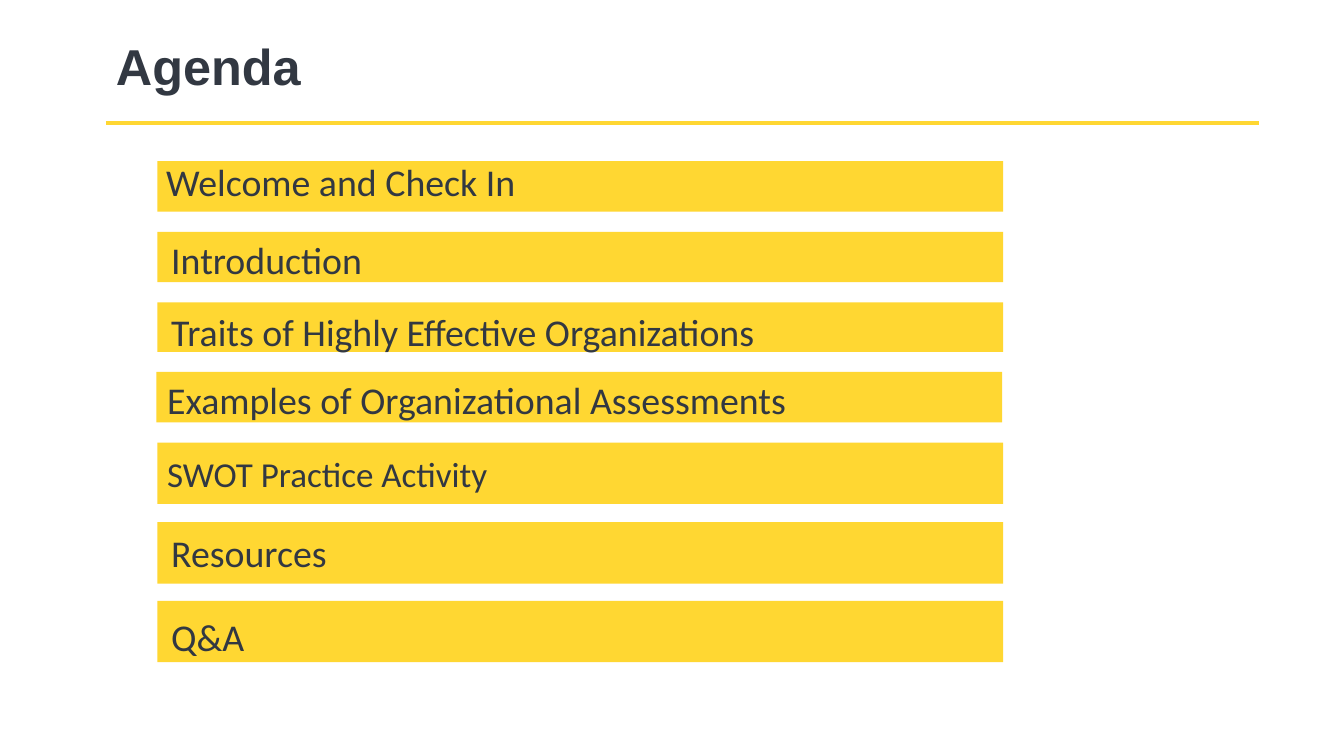
import pptx
import pptx.util
import pptx.dml.color
import pptx.enum.shapes
import pptx.enum.text
import pptx.oxml

PX = 9144
COLORS = {"gold": "FFD732", "slate": "323842"}


def color(name):
    return pptx.dml.color.RGBColor.from_string(COLORS[name])


def add_span(para, text, font_name, size, bold=False):
    span = para.add_run()
    span.text = text
    span.font.name = font_name
    span.font.size = pptx.util.Pt(size)
    span.font.bold = bold
    span.font.color.rgb = color("slate")


deck = pptx.Presentation()
deck.slide_width = 1333 * PX
deck.slide_height = 750 * PX
page = deck.slides.add_slide(deck.slide_layouts[5])

title = page.shapes.title
title.left, title.top, title.width, title.height = 105 * PX, 34 * PX, 856 * PX, 69 * PX
title.text_frame.auto_size = pptx.enum.text.MSO_AUTO_SIZE.NONE
title.text_frame.vertical_anchor = pptx.enum.text.MSO_ANCHOR.MIDDLE
para = title.text_frame.paragraphs[0]
para.alignment = pptx.enum.text.PP_ALIGN.LEFT
para.line_spacing = 0.9
add_span(para, "Agenda", "Arial", 36, True)

rule = page.shapes.add_connector(
    pptx.enum.shapes.MSO_CONNECTOR.STRAIGHT, 105 * PX, 122 * PX, 1249 * PX, 122 * PX
)
rule.line.color.rgb = color("gold")
rule.line.width = pptx.util.Pt(3)
rule._element.spPr.append(
    pptx.oxml.parse_xml(
        '<a:effectLst xmlns:a="http://schemas.openxmlformats.org/drawingml/2006/main"/>'
    )
)

agenda = [
    ("Welcome and Check In", 27, 156, 160, 50, 155, 153, 57),
    ("Introduction", 27, 156, 230, 50, 160, 230, 56),
    ("Traits of Highly Effective Organizations", 27, 156, 300, 49, 160, 301, 56),
    ("Examples of Organizational Assessments", 27, 155, 369, 50, 156, 369, 56),
    ("SWOT Practice Activity", 25, 156, 439, 61, 156, 444, 52),
    ("Resources", 27, 156, 518, 61, 160, 521, 56),
    ("Q&A", 27, 156, 596, 61, 160, 604, 56),
]
for topic, size, bar_left, bar_top, bar_height, text_left, text_top, text_height in agenda:
    bar = page.shapes.add_shape(
        pptx.enum.shapes.MSO_SHAPE.RECTANGLE,
        bar_left * PX, bar_top * PX, 839 * PX, bar_height * PX,
    )
    bar.shadow.inherit = False
    bar.fill.solid()
    bar.fill.fore_color.rgb = color("gold")
    bar.line.fill.background()

    box = page.shapes.add_textbox(text_left * PX, text_top * PX, 814 * PX, text_height * PX)
    box.text_frame.word_wrap = True
    box.text_frame.auto_size = pptx.enum.text.MSO_AUTO_SIZE.SHAPE_TO_FIT_TEXT
    add_span(box.text_frame.paragraphs[0], topic, "Calibri", size)

deck.save("out.pptx")
